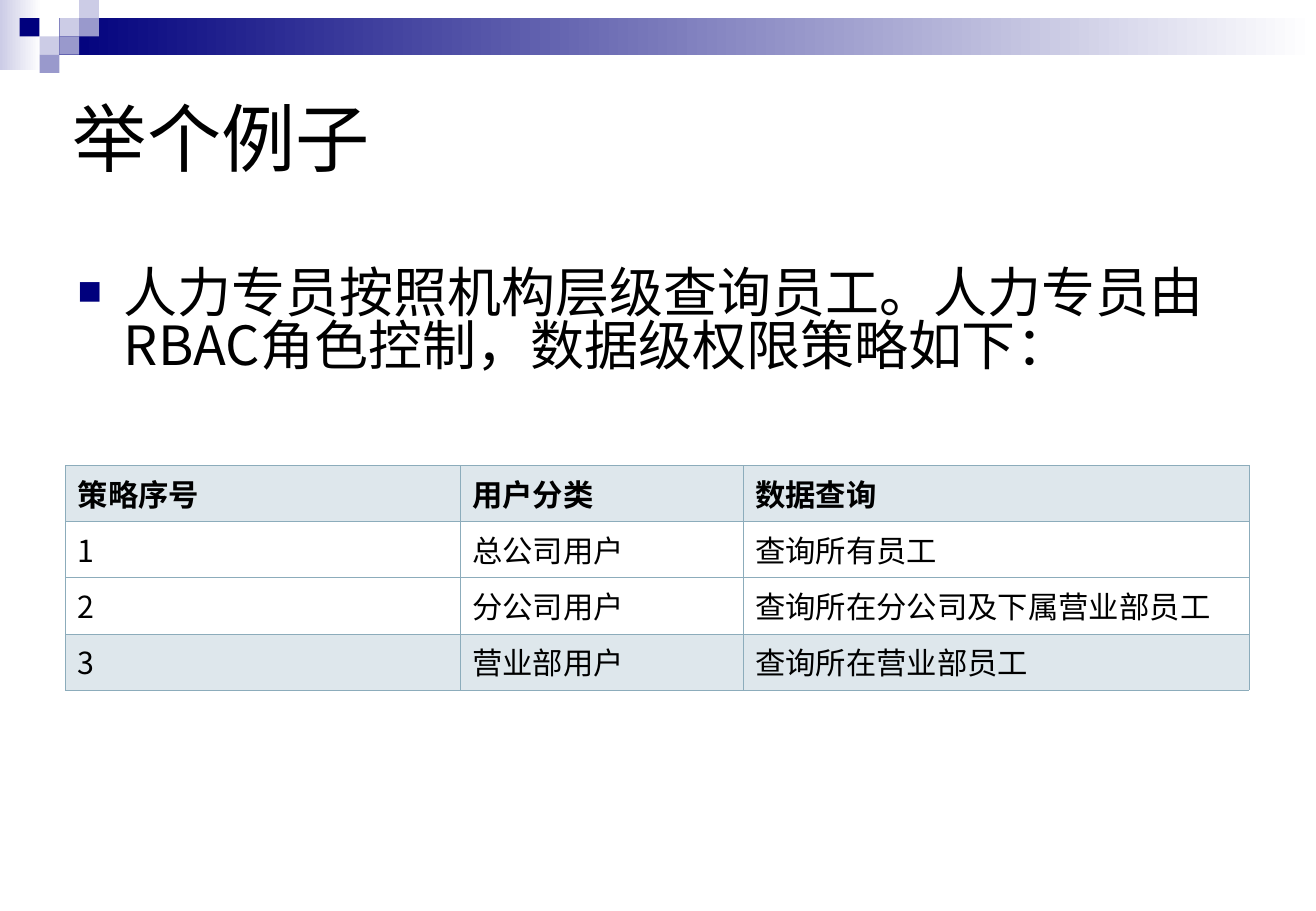
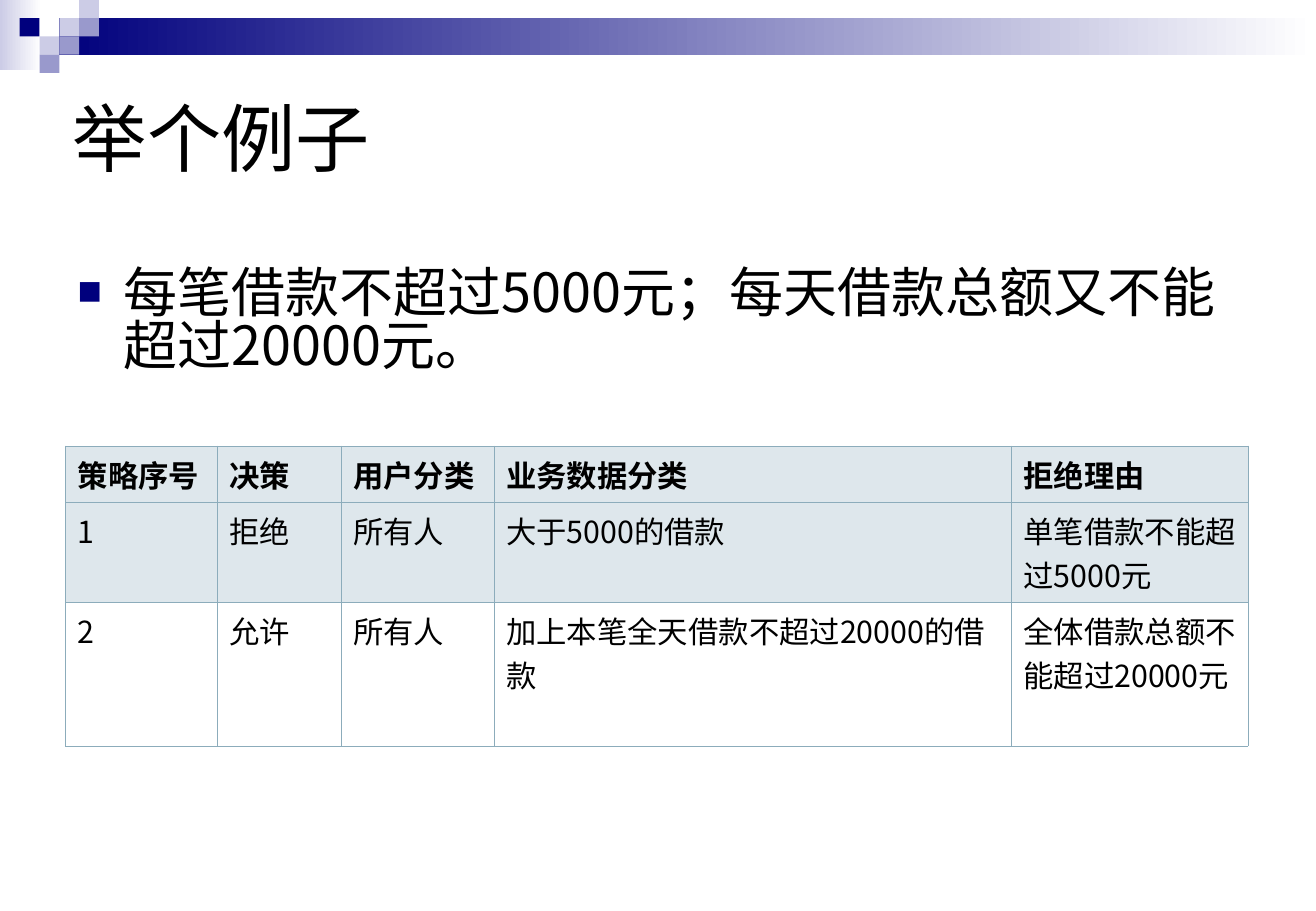
from lxml.etree import SubElement
from pptx import Presentation
from pptx.dml.color import RGBColor
from pptx.enum.shapes import MSO_SHAPE
from pptx.enum.text import MSO_ANCHOR, MSO_AUTO_SIZE, PP_ALIGN
from pptx.oxml import parse_xml
from pptx.oxml.ns import nsdecls, qn
from pptx.util import Inches, Pt

RECTANGLE = MSO_SHAPE.RECTANGLE
MIDDLE, TOP = MSO_ANCHOR.MIDDLE, MSO_ANCHOR.TOP
NO_AUTOFIT = MSO_AUTO_SIZE.NONE
LEFT = PP_ALIGN.LEFT

COLORS = {
    "white": "FFFFFF",
    "text": "000000",
    "navy": "00007D",
    "lavender": "CCCCE6",
    "violet": "9999CC",
    "shade": "DEE7EC",
    "border": "8CACBB",
}
TITLE_FONT = "Noto Sans CJK JP"
BODY_FONT = "Noto Sans CJK SC"

# Boxes: left, top, width, height
TITLE_BOX = (0.5, 0.5, 9.75, 1.25)
BODY_BOX = (0.54, 2.17, 9.75, 4.53)
TABLE_LEFT = 0.54

# Mosaic squares: column, row, colour
SQUARE_WIDTH, SQUARE_HEIGHT = 0.163, 0.15
SQUARES = [
    (3, 1, "lavender"), (4, 0, "lavender"), (4, 1, "violet"),
    (2, 2, "lavender"), (1, 1, "navy"), (3, 2, "violet"), (2, 3, "violet"),
]

SLIDES = [
    {
        "title": "举个例子",
        "body": "人力专员按照机构层级查询员工。人力专员由RBAC角色控制，数据级权限策略如下：",
        "top": 3.83,
        "columns": [3.25, 2.33, 4.17],
        "heights": [0.4, 0.4, 0.4, 0.4],
        "shaded": {0, 3},
        "rows": [
            ["策略序号", "用户分类", "数据查询"],
            ["1", "总公司用户", "查询所有员工"],
            ["2", "分公司用户", "查询所在分公司及下属营业部员工"],
            ["3", "营业部用户", "查询所在营业部员工"],
        ],
    },
    {
        "title": "举个例子",
        "body": "每笔借款不超过5000元；每天借款总额又不能超过20000元。",
        "top": 3.67,
        "columns": [1.25, 1.02, 1.26, 4.26, 1.95],
        "heights": [0.4, 0.7, 1],
        "shaded": {0, 1},
        "rows": [
            ["策略序号", "决策", "用户分类", "业务数据分类", "拒绝理由"],
            ["1", "拒绝", "所有人", "大于5000的借款", "单笔借款不能超过5000元"],
            ["2", "允许", "所有人", "加上本笔全天借款不超过20000的借款",
             "全体借款总额不能超过20000元"],
        ],
    },
]


def rgb(name):
    return RGBColor.from_string(COLORS[name])


def style_paragraph(para, size, font_name, bold=False):
    para.alignment = LEFT
    font = para.font
    font.size, font.bold, font.name = Pt(size), bold, font_name
    font.color.rgb = rgb("text")
    SubElement(para._p.pPr.defRPr, qn("a:ea")).set("typeface", font_name)


def add_block(group, box, color, fades=False):
    block = group.shapes.add_shape(RECTANGLE, *map(Inches, box))
    block.shadow.inherit = False
    block.line.fill.background()
    if fades:
        block.fill.gradient()
        block.fill.gradient_angle = 180
        for stop, name in zip(block.fill.gradient_stops, ("white", color)):
            stop.color.rgb = rgb(name)
    else:
        block.fill.solid()
        block.fill.fore_color.rgb = rgb(color)


def add_master_band(deck, page):
    """Draw the top band as a group and move it to the slide master."""
    group = page.shapes.add_group_shape()
    add_block(group, (0, 0, 0.34, 0.58), "lavender", fades=True)
    add_block(group, (0.49, 0.15, 10.34, 0.3), "navy", fades=True)
    for column, row, color in SQUARES:
        box = (column * SQUARE_WIDTH, row * SQUARE_HEIGHT, SQUARE_WIDTH, SQUARE_HEIGHT)
        add_block(group, box, color)
    deck.slide_master.shapes.element.insert(2, group.element)


def fill_placeholder(holder, box, text, anchor):
    holder.left, holder.top, holder.width, holder.height = map(Inches, box)
    frame = holder.text_frame
    frame.text = text
    frame.word_wrap = True
    frame.auto_size = NO_AUTOFIT
    frame.vertical_anchor = anchor
    return frame.paragraphs[0]


def add_title(page, text, box):
    para = fill_placeholder(page.shapes.title, box, text, MIDDLE)
    style_paragraph(para, 44, TITLE_FONT)


def add_body(page, text, box):
    para = fill_placeholder(page.placeholders[1], box, text, TOP)
    para.space_before = Pt(8)
    para.line_spacing = 0.82
    style_paragraph(para, 32, BODY_FONT)
    # Square bullet with a hanging indent
    properties = para._p.pPr
    properties.set("marL", str(Inches(0.38)))
    properties.set("indent", str(-Inches(0.38)))
    bullet = [
        f'<a:buClr {nsdecls("a")}><a:srgbClr val="{COLORS["navy"]}"/></a:buClr>',
        f'<a:buSzPct {nsdecls("a")} val="75000"/>',
        f'<a:buChar {nsdecls("a")} char="■"/>',
    ]
    for part in bullet:
        properties.defRPr.addprevious(parse_xml(part))


def add_borders(cell):
    properties = cell._tc.get_or_add_tcPr()
    for index, side in enumerate(("lnL", "lnR", "lnT", "lnB")):
        properties.insert(index, parse_xml(
            f'<a:{side} {nsdecls("a")} w="{Pt(0.17)}"><a:solidFill>'
            f'<a:srgbClr val="{COLORS["border"]}"/></a:solidFill></a:{side}>'))


def add_policy_table(page, content, left):
    rows, columns, heights = content["rows"], content["columns"], content["heights"]
    box = (left, content["top"], sum(columns), sum(heights))
    table = page.shapes.add_table(len(rows), len(columns), *map(Inches, box)).table
    table.horz_banding = False
    for column, width in zip(table.columns, columns):
        column.width = Inches(width)
    for row, height in zip(table.rows, heights):
        row.height = Inches(height)
    for row_index, texts in enumerate(rows):
        color = "shade" if row_index in content["shaded"] else "white"
        for column_index, text in enumerate(texts):
            cell = table.cell(row_index, column_index)
            cell.text = text
            cell.fill.solid()
            cell.fill.fore_color.rgb = rgb(color)
            style_paragraph(cell.text_frame.paragraphs[0], 18, BODY_FONT, row_index == 0)
            add_borders(cell)


def main():
    deck = Presentation()
    deck.slide_width, deck.slide_height = Inches(10.84), Inches(7.5)
    for index, content in enumerate(SLIDES):
        page = deck.slides.add_slide(deck.slide_layouts[1])
        if index == 0:
            add_master_band(deck, page)
        add_title(page, content["title"], TITLE_BOX)
        add_body(page, content["body"], BODY_BOX)
        add_policy_table(page, content, TABLE_LEFT)
    deck.save("out.pptx")


if __name__ == "__main__":
    main()
